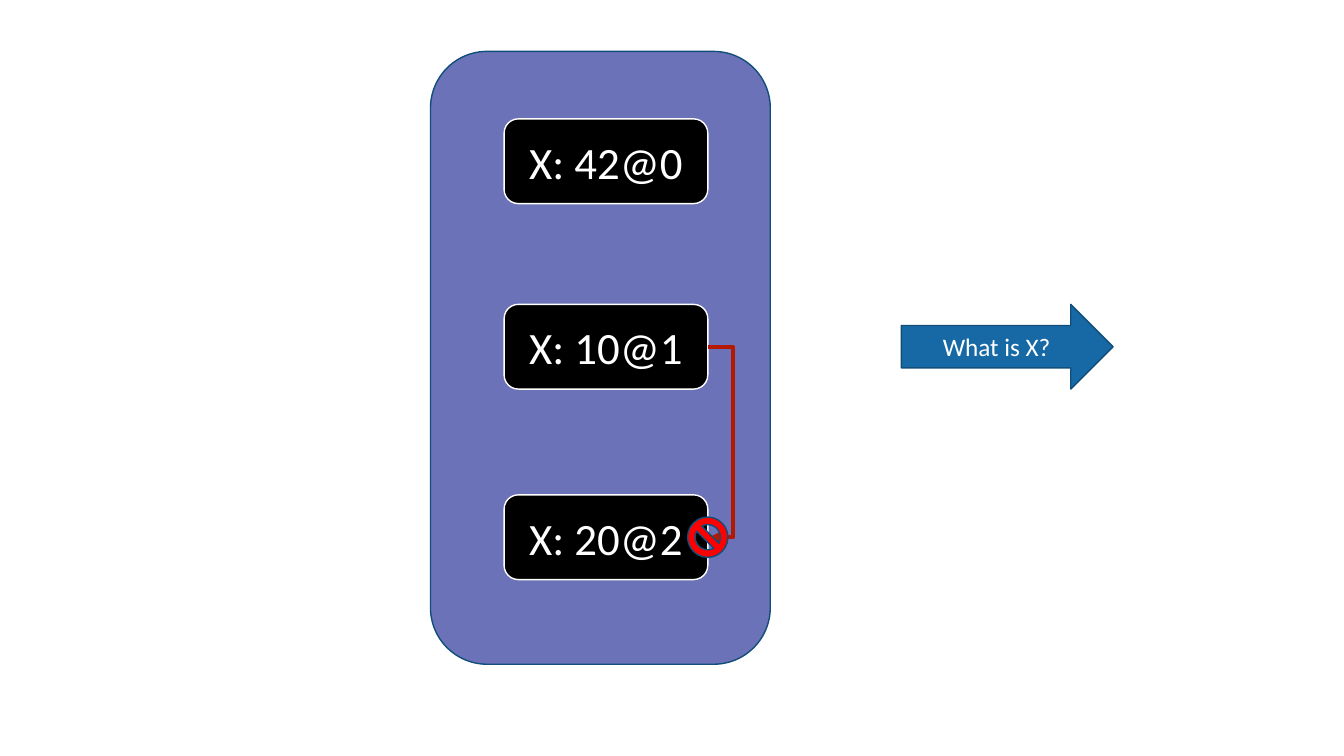
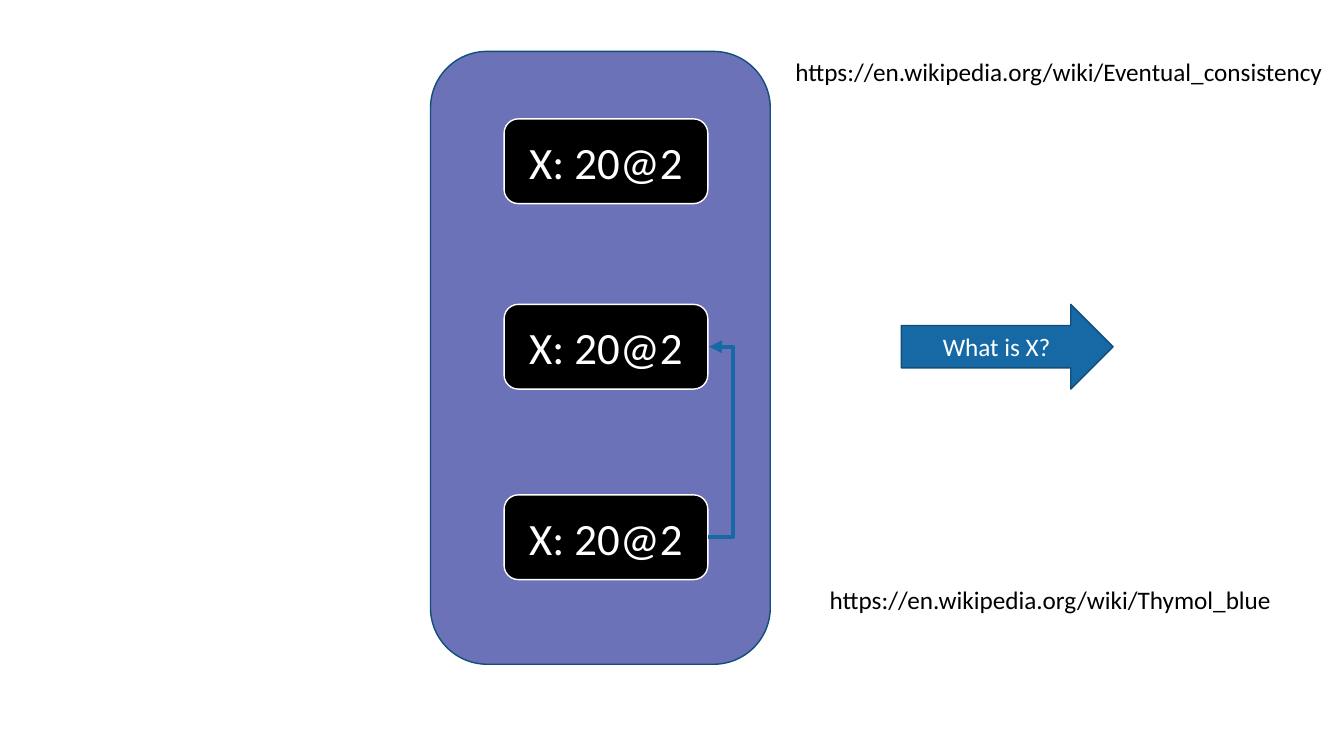
from lxml.etree import SubElement
from pptx import Presentation
from pptx.dml.color import RGBColor
from pptx.enum.shapes import MSO_CONNECTOR, MSO_SHAPE
from pptx.enum.text import MSO_ANCHOR, MSO_AUTO_SIZE, PP_ALIGN
from pptx.oxml.ns import qn
from pptx.util import Inches, Pt

FONT = "Calibri"
BLACK, WHITE, RED = "000000", "FFFFFF", "FF0000"
BLUE, DARK_BLUE, PURPLE, DARK_RED = "1769A5", "114E7A", "6B72B7", "B41800"

PANEL_BOX = (4.27, 0.51, 3.37, 6.08)
QUERY_BOX = (8.94, 3.02, 2.1, 0.84)
REPLICA_LEFT, REPLICA_WIDTH, REPLICA_HEIGHT = 0.73, 2.02, 0.84
REPLICA_TOPS = (0.67, 2.51, 4.4)
BARRED_SIGN_SIZE = 0.4
RIGHT_SITE = 3
ELBOW_REACH = 18

SLIDES = [
    {
        "values": ("X: 42@0", "X: 10@1", "X: 20@2"),
        "sync": {"start": 1, "end": 2, "color": DARK_RED, "barred": True},
        "links": [],
    },
    {
        "values": ("X: 20@2", "X: 20@2", "X: 20@2"),
        "sync": {"start": 2, "end": 1, "color": BLUE, "barred": False},
        "links": [
            ("https://en.wikipedia.org/wiki/Thymol_blue", (8.13, 5.75, 4.63, 0.4)),
            ("https://en.wikipedia.org/wiki/Eventual_consistency", (7.79, 0.51, 5.49, 0.4)),
        ],
    },
]


def rgb(color):
    return RGBColor.from_string(color)


def set_attributes(target, values):
    for name, value in values.items():
        setattr(target, name, value)


def write_text(shape, text, size, color, alignment, frame_format):
    set_attributes(shape.text_frame, frame_format)
    paragraph = shape.text_frame.paragraphs[0]
    paragraph.text = text
    paragraph.alignment = alignment
    set_attributes(paragraph.font, {"name": FONT, "size": Pt(size)})
    paragraph.font.color.rgb = rgb(color)


def add_filled_shape(slide, kind, box, fill, line, text="", size=18):
    shape = slide.shapes.add_shape(kind, *map(Inches, box))
    shape.shadow.inherit = False
    shape.fill.solid()
    shape.fill.fore_color.rgb = rgb(fill)
    shape.line.color.rgb = rgb(line)
    shape.line.width = Pt(1)
    if text:
        frame_format = {"word_wrap": True, "vertical_anchor": MSO_ANCHOR.MIDDLE}
        write_text(shape, text, size, WHITE, PP_ALIGN.CENTER, frame_format)
    return shape


def add_sync_arrow(slide, source, target, color):
    connector = slide.shapes.add_connector(
        MSO_CONNECTOR.ELBOW,
        source.left + source.width, source.top + source.height // 2,
        target.left + target.width, target.top + target.height // 2,
    )
    connector.begin_connect(source, RIGHT_SITE)
    connector.end_connect(target, RIGHT_SITE)
    connector.width = Pt(1)
    connector.line.color.rgb = rgb(color)
    connector.line.width = Pt(3)
    properties = connector.element.spPr
    guides = properties.find(qn("a:prstGeom")).find(qn("a:avLst"))
    SubElement(guides, qn("a:gd"), name="adj1", fmla=f"val {ELBOW_REACH * 100000}")
    SubElement(properties.find(qn("a:ln")), qn("a:tailEnd"), type="triangle")
    SubElement(properties, qn("a:effectLst"))


def add_replica_panel(slide, box, values, sync):
    left, top = box[:2]
    add_filled_shape(slide, MSO_SHAPE.ROUNDED_RECTANGLE, box, PURPLE, DARK_BLUE)
    boxes = [
        (left + REPLICA_LEFT, top + offset, REPLICA_WIDTH, REPLICA_HEIGHT)
        for offset in REPLICA_TOPS
    ]
    replicas = [
        add_filled_shape(slide, MSO_SHAPE.ROUNDED_RECTANGLE, replica_box, BLACK, WHITE, value, 32)
        for replica_box, value in zip(boxes, values)
    ]
    add_sync_arrow(slide, replicas[sync["start"]], replicas[sync["end"]], sync["color"])
    if sync["barred"]:
        end_left, end_top, end_width, end_height = boxes[sync["end"]]
        sign_box = (
            end_left + end_width - BARRED_SIGN_SIZE / 2,
            end_top + (end_height - BARRED_SIGN_SIZE) / 2,
            BARRED_SIGN_SIZE, BARRED_SIGN_SIZE,
        )
        add_filled_shape(slide, MSO_SHAPE.NO_SYMBOL, sign_box, RED, DARK_BLUE)


def add_link_text(slide, text, box):
    text_box = slide.shapes.add_textbox(*map(Inches, box))
    frame_format = {"word_wrap": False, "auto_size": MSO_AUTO_SIZE.SHAPE_TO_FIT_TEXT}
    write_text(text_box, text, 18, BLACK, PP_ALIGN.LEFT, frame_format)


def add_replica_slide(presentation, values, sync, links):
    slide = presentation.slides.add_slide(presentation.slide_layouts[6])
    add_replica_panel(slide, PANEL_BOX, values, sync)
    add_filled_shape(slide, MSO_SHAPE.RIGHT_ARROW, QUERY_BOX, BLUE, DARK_BLUE, "What is X?")
    for text, box in links:
        add_link_text(slide, text, box)


def main():
    presentation = Presentation()
    set_attributes(presentation, {"slide_width": Inches(13.33), "slide_height": Inches(7.5)})
    for content in SLIDES:
        add_replica_slide(presentation, **content)
    presentation.save("out.pptx")


if __name__ == "__main__":
    main()
